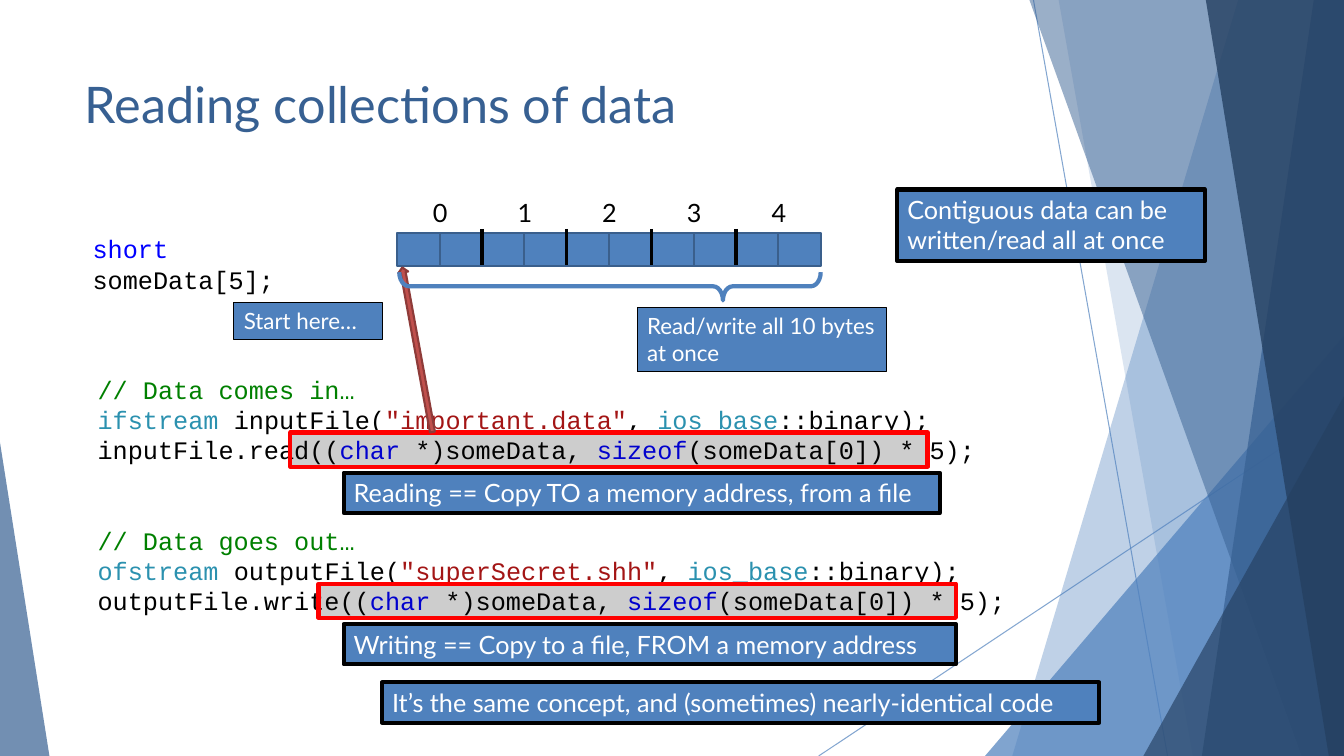
from pptx import Presentation
from pptx.dml.color import RGBColor
from pptx.enum.shapes import MSO_CONNECTOR, MSO_SHAPE
from pptx.enum.text import MSO_ANCHOR, PP_ALIGN
from pptx.oxml.ns import qn
from pptx.util import Inches, Pt
from lxml.etree import SubElement

COLORS = {
    "blue": "4F81BD", "dark": "376092", "navy": "254061", "edge": "3A5F8C",
    "black": "000000", "white": "FFFFFF", "shade": "080808", "red": "FF0000",
    "arrow": "C0504D", "arrow_edge": "8E3B39",
    "comment": "008000", "type": "2B91AF", "string": "A31515", "keyword": "0000FF",
}


def style(shape, fill=None, line=None, width=1, alpha=None):
    """Set fill, line and the opacity (percent) of the first colour."""
    if fill:
        shape.fill.solid()
        shape.fill.fore_color.rgb = RGBColor.from_string(COLORS[fill])
    if line:
        shape.line.color.rgb = RGBColor.from_string(COLORS[line])
        shape.line.width = Pt(width)
    else:
        shape.line.fill.background()
    properties = shape._element.spPr
    SubElement(properties, qn("a:effectLst"))
    if alpha:
        color = next(properties.iter(qn("a:srgbClr")))
        SubElement(color, qn("a:alpha"), val=str(alpha * 1000))


def write(frame, lines, font="Lato", size=18, align=PP_ALIGN.LEFT,
          anchor=MSO_ANCHOR.TOP, gaps=None):
    """Write lines of (text, colour) runs; gaps maps line index to space before."""
    frame.word_wrap = True
    frame.vertical_anchor = anchor
    for index, runs in enumerate(lines):
        paragraph = frame.paragraphs[0] if index == 0 else frame.add_paragraph()
        paragraph.alignment = align
        if gaps and index in gaps:
            paragraph.space_before = Pt(gaps[index])
        for text, color in runs:
            run = paragraph.add_run()
            run.text = text
            run.font.name = font
            run.font.size = Pt(size)
            run.font.color.rgb = RGBColor.from_string(COLORS[color])


prs = Presentation()
prs.slide_width, prs.slide_height = Inches(13.33), Inches(7.5)
slide = prs.slides.add_slide(prs.slide_layouts[5])
shapes = slide.shapes

# Background rays
for x1, y1, x2, y2 in [(10.25, 0, 11.58, 7.5), (13.33, 4.03, 8.12, 7.5)]:
    ray = shapes.add_connector(MSO_CONNECTOR.STRAIGHT, Inches(x1), Inches(y1),
                               Inches(x2), Inches(y2))
    style(ray, line="blue", width=0.75, alpha=70)

# Background facets: bands reach the right edge, triangles rise to one side
bands = [(12.28, 10.04, "blue", 36), (10.5, 11.83, "blue", 20),
         (10.21, 12.91, "dark", 50), (13.03, 11.92, "dark", 70),
         (11.96, 13.18, "navy", 80)]
triangles = [(9.77, 3.33, 3.56, 4.17, 1, "blue", 72),
             (11.34, 3.93, 1.99, 3.57, 1, "navy", 66),
             (0, 4.39, 0.49, 3.11, 0, "dark", 70)]


for facet in bands[:2] + triangles[:1] + bands[2:] + triangles[1:]:
    *geometry, color, alpha = facet
    if len(geometry) == 2:
        top_x, bottom_x = geometry
        outline = shapes.build_freeform(Inches(top_x), 0)
        outline.add_line_segments([(Inches(x), Inches(y)) for x, y in
                                   [(13.33, 0), (13.33, 7.5), (bottom_x, 7.5)]])
        band = outline.convert_to_shape()
        style(band, color, alpha=alpha)
    else:
        *box, apex = geometry
        triangle = shapes.add_shape(MSO_SHAPE.ISOSCELES_TRIANGLE, *map(Inches, box))
        triangle.adjustments[0] = apex
        style(triangle, color, alpha=alpha)

# Title
title = shapes.title
title.left, title.top, title.width, title.height = map(Inches, (0.74, 0.67, 9.4, 0.72))
write(title.text_frame, [[("Reading collections of data", "dark")]], size=36,
      anchor=MSO_ANCHOR.MIDDLE)

# Ten bytes in memory, two to each element
ARRAY_LEFT, BYTE = 3.94, 0.42
for byte in range(10):
    cell = shapes.add_shape(MSO_SHAPE.RECTANGLE, Inches(ARRAY_LEFT + byte * BYTE),
                            Inches(2.31), Inches(BYTE), Inches(0.33))
    style(cell, "blue", "edge", 1.5)
for element in range(1, 5):
    x = Inches(ARRAY_LEFT + element * 2 * BYTE)
    divider = shapes.add_connector(MSO_CONNECTOR.STRAIGHT, x, Inches(2.27), x, Inches(2.63))
    style(divider, line="black", width=2.25)
for element in range(5):
    index_label = shapes.add_textbox(Inches(4.11 + element * 2 * BYTE), Inches(1.91),
                                     Inches(0.51), Inches(0.4))
    write(index_label.text_frame, [[(str(element), "black")]], align=PP_ALIGN.CENTER)

# Code
declaration = shapes.add_textbox(Inches(0.82), Inches(2.27), Inches(2.78), Inches(0.4))
write(declaration.text_frame, [[("short ", "keyword"), ("someData[5];", "black")]],
      font="Courier New")

code_lines = []
for comment, stream, variable, file_name, method in [
        ("// Data comes in…", "ifstream ", "inputFile", '"important.data"', "read"),
        ("// Data goes out…", "ofstream ", "outputFile", '"superSecret.shh"', "write")]:
    code_lines += [
        [(comment, "comment")],
        [(stream, "type"), (f"{variable}(", "black"), (file_name, "string"),
         (", ", "black"), ("ios_base", "type"), ("::binary);", "black")],
        [(f"{variable}.{method}((", "black"), ("char", "keyword"),
         (" *)someData, ", "black"), ("sizeof", "keyword"),
         ("(someData[0]) * 5);", "black")],
    ]
code = shapes.add_textbox(Inches(0.87), Inches(3.66), Inches(9.27), Inches(2.53))
write(code.text_frame, code_lines, font="Courier New", gaps={3: 43.2})

# Highlighted arguments
for left, top in [(2.88, 4.29), (3.16, 5.79)]:
    highlight = shapes.add_shape(MSO_SHAPE.RECTANGLE, Inches(left), Inches(top),
                                 Inches(6.32), Inches(0.34))
    style(highlight, "shade", "red", 3, alpha=20)

# Arrow to the first byte and brace under all bytes
start_arrow = shapes.add_shape(MSO_SHAPE.UP_ARROW, Inches(4.09), Inches(2.64),
                               Inches(0.1), Inches(1.66))
start_arrow.rotation = 349.6
style(start_arrow, "arrow", "arrow_edge", 1.5)

brace = shapes.add_shape(MSO_SHAPE.LEFT_BRACE, Inches(5.91), Inches(0.75),
                         Inches(0.28), Inches(4.18))
brace.rotation = 270
brace.adjustments[0], brace.adjustments[1] = 0.348, 0.768
brace.fill.background()
style(brace, line="blue", width=3)

# Callouts
for left, top, width, height, border, size, text in [
        (8.9, 1.88, 3.05, 0.71, 3, 18, "Contiguous data can be written/read all at once"),
        (2.32, 3, 1.47, 0.37, 0.75, 16, "Start here…"),
        (6.32, 3.05, 2.47, 0.64, 0.75, 16, "Read/write all 10 bytes at once"),
        (3.41, 4.69, 5.91, 0.4, 3, 18, "Reading == Copy TO a memory address, from a file"),
        (3.41, 6.19, 6.07, 0.4, 3, 18, "Writing == Copy to a file, FROM a memory address"),
        (3.79, 6.77, 7.11, 0.4, 3, 18,
         "It’s the same concept, and (sometimes) nearly-identical code")]:
    callout = shapes.add_shape(MSO_SHAPE.RECTANGLE, Inches(left), Inches(top),
                               Inches(width), Inches(height))
    style(callout, "blue", "black", border)
    write(callout.text_frame, [[(text, "white")]], size=size)

prs.save("out.pptx")
